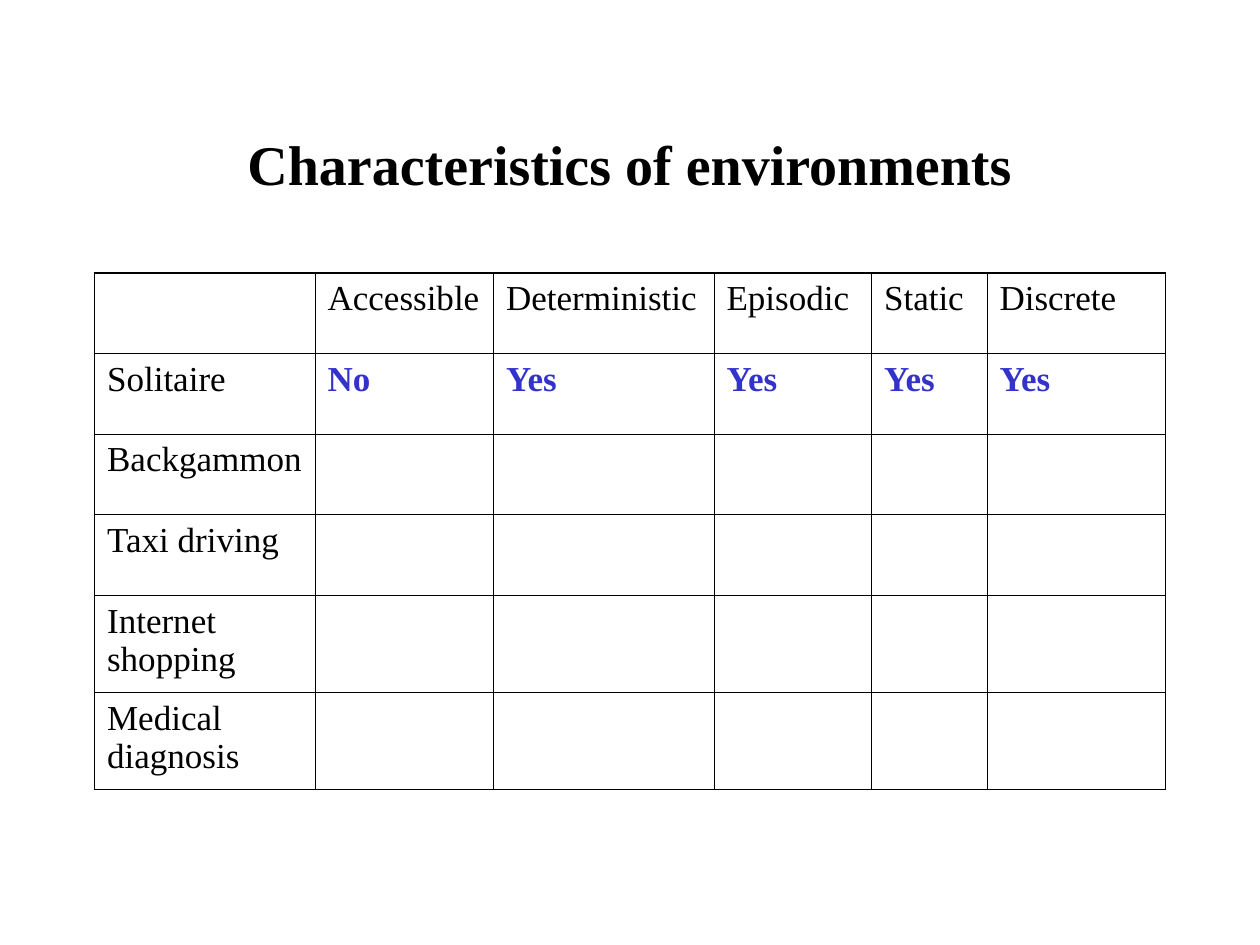
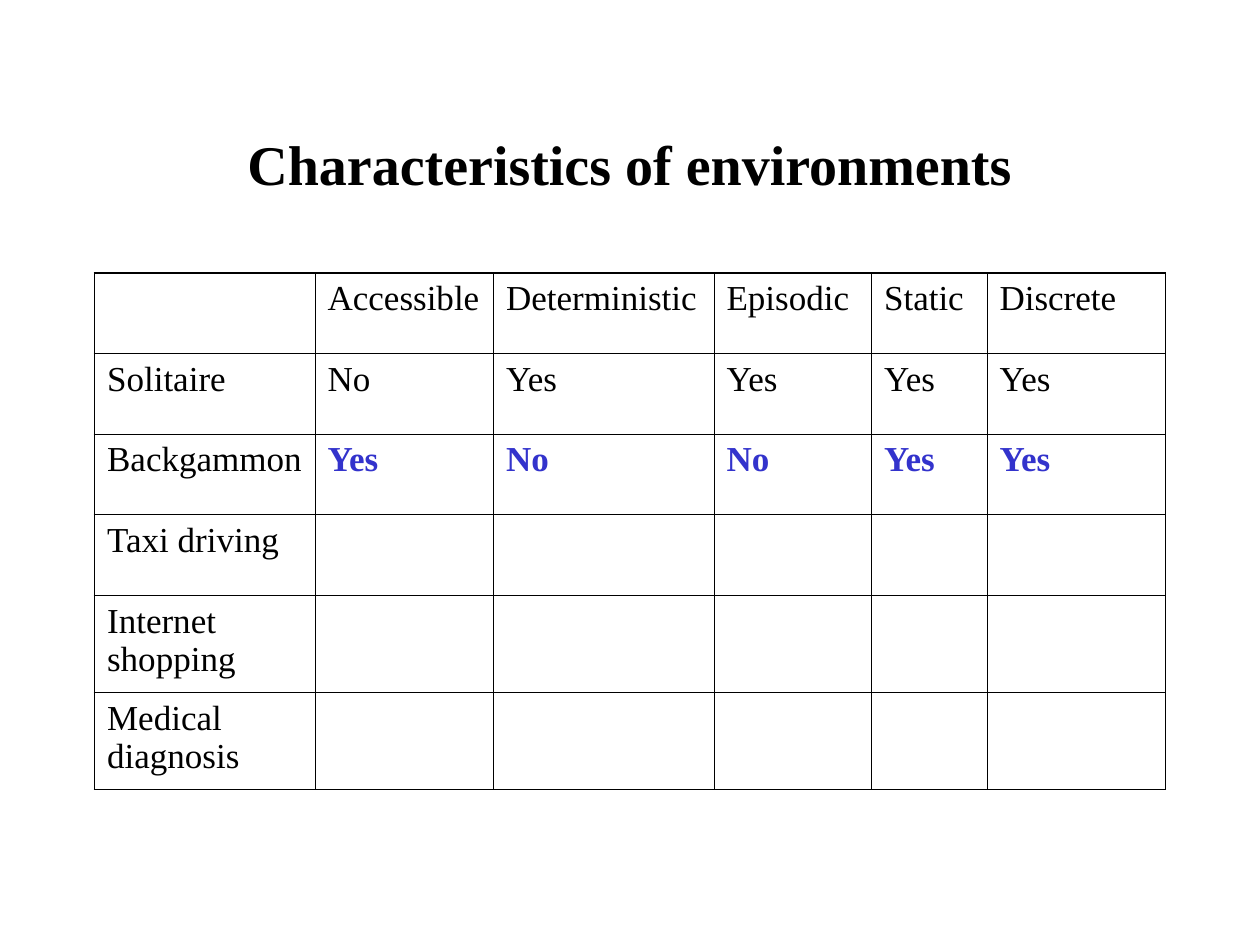
from lxml import etree
from pptx import Presentation
from pptx.dml.color import RGBColor
from pptx.enum import text
from pptx.oxml import ns
from pptx.util import Pt

COLORS = {"ink": "000000", "answer": "3333CC", "paper": "FFFFFF"}
FONT = "Times New Roman"
TITLE = "Characteristics of environments"
LEFT, WIDTH = 54, 612
COL_WIDTHS = [126, 102, 126, 90, 66, 102]
ROW_HEIGHTS = [46.08] * 4 + [55.44] * 2
INNER, OUTER = 0.45, 1.08

PROPERTIES = ["Accessible", "Deterministic", "Episodic", "Static", "Discrete"]
ENVIRONMENTS = ["Solitaire", "Backgammon", "Taxi driving",
                "Internet shopping", "Medical diagnosis"]
ANSWERS = [["No", "Yes", "Yes", "Yes", "Yes"],
           ["Yes", "No", "No", "Yes", "Yes"]]


def write(p, words, color="ink", **formats):
    r = p.add_run()
    r.text = words
    r.font.color.rgb = RGBColor.from_string(COLORS[color])
    for name, value in {"name": FONT, **formats}.items():
        setattr(r.font, name, value)


def add_border(cell, side, width):
    ln = etree.SubElement(cell._tc.get_or_add_tcPr(), ns.qn(f"a:ln{side}"),
                          w=str(Pt(width)))
    fill = etree.SubElement(ln, ns.qn("a:solidFill"))
    etree.SubElement(fill, ns.qn("a:srgbClr"), val=COLORS["ink"])


prs = Presentation()
prs.slide_width, prs.slide_height = Pt(720), Pt(540)

# Each slide reveals one more row of answers and highlights the newest
for shown in range(1, len(ANSWERS) + 1):
    s = prs.slides.add_slide(prs.slide_layouts[6])
    s.background.fill.solid()
    s.background.fill.fore_color.rgb = RGBColor.from_string(COLORS["paper"])

    tf = s.shapes.add_textbox(Pt(LEFT), Pt(48), Pt(WIDTH), Pt(90)).text_frame
    tf.word_wrap = True
    tf.vertical_anchor = text.MSO_ANCHOR.MIDDLE
    p = tf.paragraphs[0]
    p.alignment = text.PP_ALIGN.CENTER
    write(p, TITLE, size=Pt(32), bold=True)

    rows = [[""] + PROPERTIES]
    for i, environment in enumerate(ENVIRONMENTS):
        answers = ANSWERS[i] if i < shown else [""] * len(PROPERTIES)
        rows.append([environment] + answers)

    table = s.shapes.add_table(len(rows), len(COL_WIDTHS), Pt(LEFT), Pt(156),
                               Pt(WIDTH), Pt(sum(ROW_HEIGHTS))).table
    table.first_row = table.horz_banding = False
    for column, width in zip(table.columns, COL_WIDTHS):
        column.width = Pt(width)
    for row, height in zip(table.rows, ROW_HEIGHTS):
        row.height = Pt(height)

    last_row, last_col = len(rows) - 1, len(COL_WIDTHS) - 1
    for i, row in enumerate(rows):
        for j, words in enumerate(row):
            cell = table.cell(i, j)
            edges = {"L": j == 0, "R": j == last_col,
                     "T": i == 0, "B": i == last_row}
            for side, is_outer in edges.items():
                add_border(cell, side, OUTER if is_outer else INNER)
            cell.fill.background()
            if words:
                newest = i == shown and j > 0
                p = cell.text_frame.paragraphs[0]
                p.space_before = Pt(5)
                write(p, words, "answer" if newest else "ink",
                      size=Pt(20), bold=newest)

prs.save("out.pptx")
